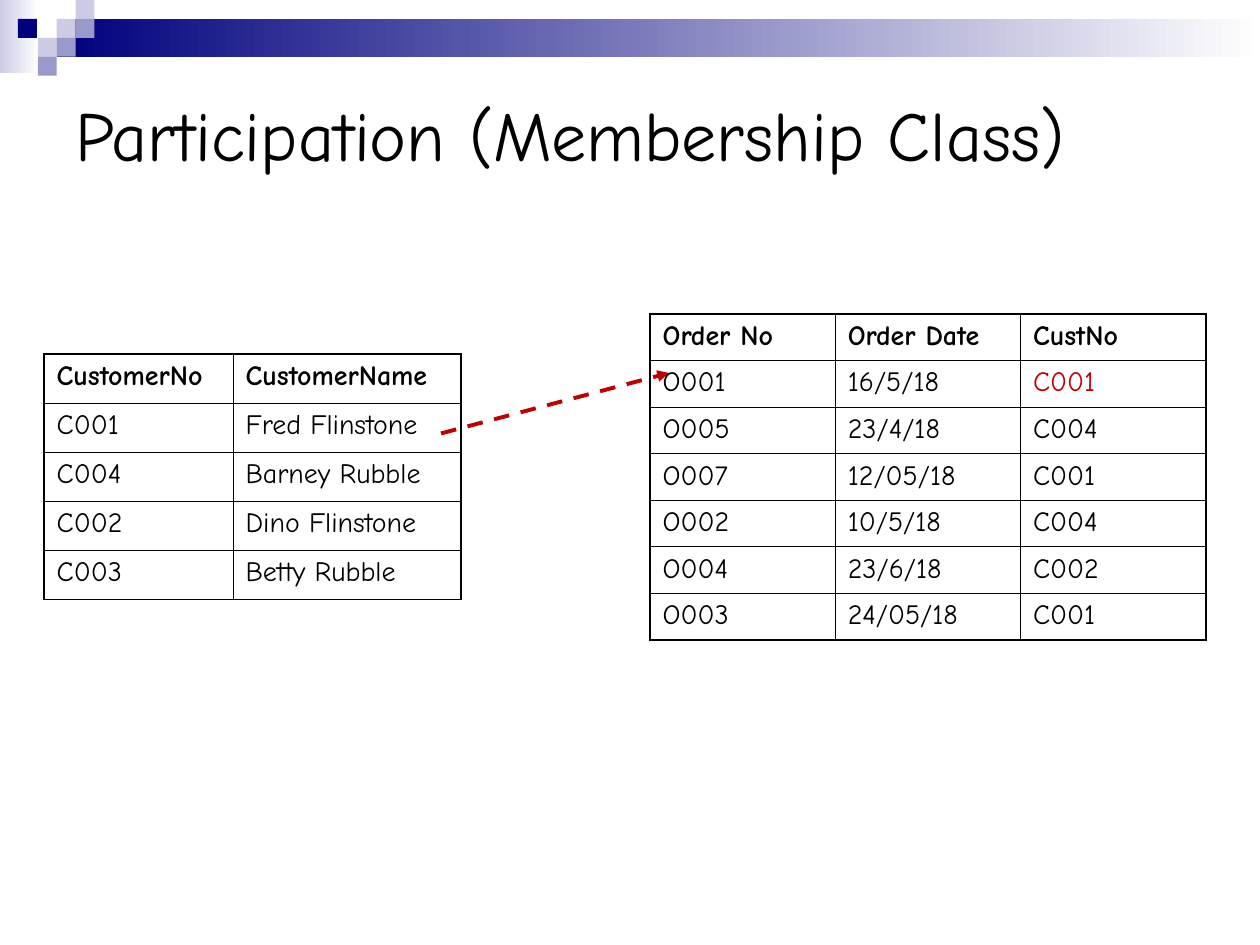
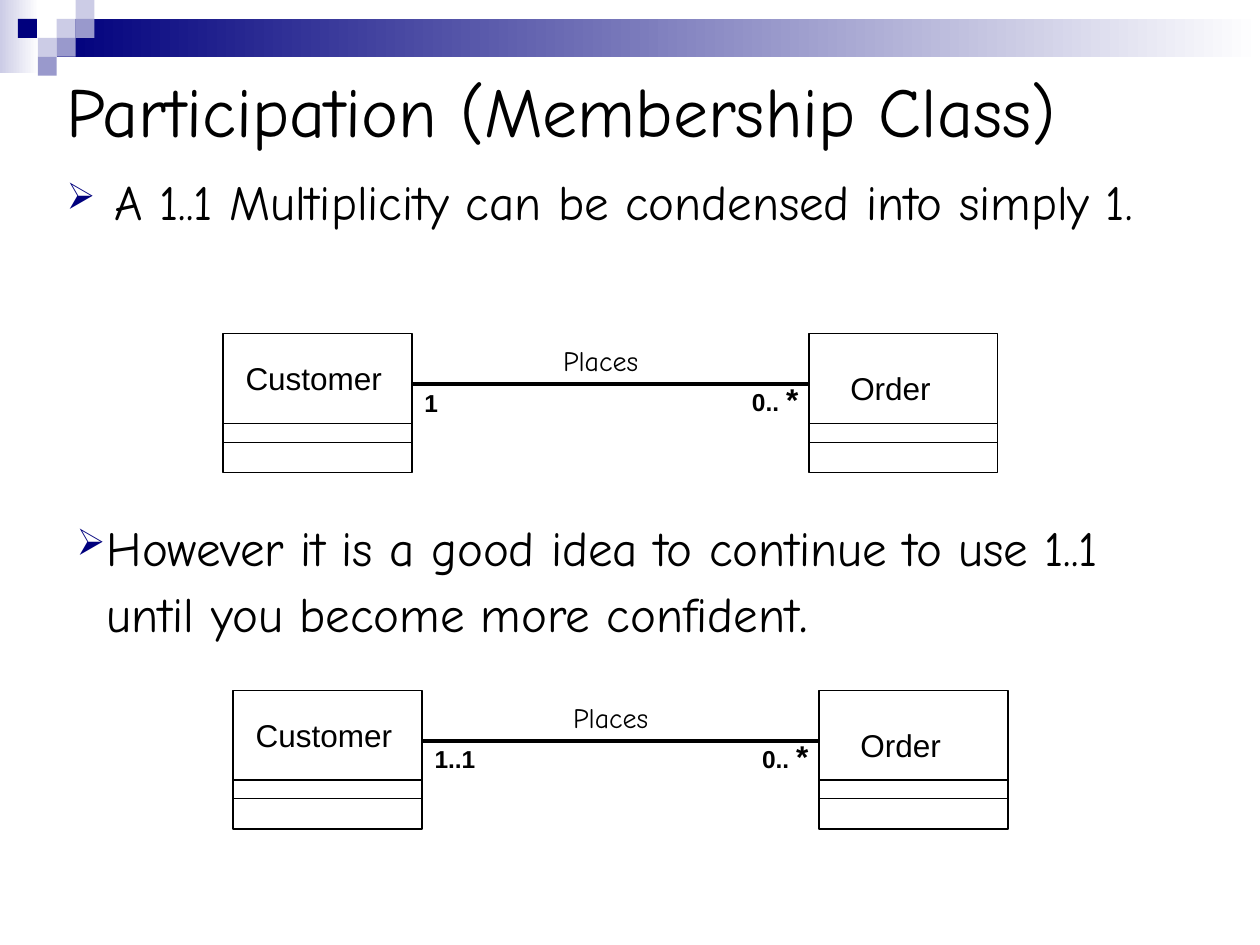
from pptx import Presentation
from pptx.dml.color import RGBColor as RGB
from pptx.enum.dml import MSO_LINE_DASH_STYLE as Dash
from pptx.enum.shapes import MSO_CONNECTOR as Link, MSO_SHAPE as Preset
from pptx.enum.text import MSO_ANCHOR as Anchor
from pptx.oxml import parse_xml
from pptx.oxml.ns import nsdecls
from pptx.util import Inches, Pt

COLORS = {
    "ink": "000000", "navy": "00007D", "lilac": "CCCCE6",
    "violet": "9999CC", "white": "FFFFFF", "red": "C00000",
}
HAND, SANS = "Comic Neue", "Arial"
FORMATS = {
    "title": {"size": Pt(40), "name": HAND},
    "point": {"size": Pt(28), "name": HAND},
    "point_end": {"size": Pt(32), "name": HAND},
    "heading": {"size": Pt(16), "name": HAND, "bold": True},
    "entry": {"size": Pt(16), "name": HAND, "bold": False},
    "class": {"size": Pt(18), "name": SANS},
    "count": {"size": Pt(14), "name": SANS, "bold": True},
    "many": {"size": Pt(18), "name": SANS, "bold": True},
}
TITLE = "Participation (Membership Class)"
CUSTOMERS = [
    ("CustomerNo", "CustomerName"),
    ("C001", "Fred Flinstone"),
    ("C004", "Barney Rubble"),
    ("C002", "Dino Flinstone"),
    ("C003", "Betty Rubble"),
]
ORDERS = [
    ("Order No", "Order Date", "CustNo"),
    ("O001", "16/5/18", "C001"),
    ("O005", "23/4/18", "C004"),
    ("O007", "12/05/18", "C001"),
    ("O002", "10/5/18", "C004"),
    ("O004", "23/6/18", "C002"),
    ("O003", "24/05/18", "C001"),
]


def rgb(color):
    return RGB.from_string(COLORS[color])


def inches(*lengths):
    return [Inches(length) for length in lengths]


def write(paragraph, text, style, color="ink"):
    run = paragraph.add_run()
    run.text = text
    for attribute, value in FORMATS[style].items():
        setattr(run.font, attribute, value)
    run.font.color.rgb = rgb(color)


def add_text(slide, box, parts, wrap=True, anchor=Anchor.TOP, indent=None):
    frame = slide.shapes.add_textbox(*inches(*box)).text_frame
    frame.word_wrap = wrap
    frame.vertical_anchor = anchor
    paragraph = frame.paragraphs[0]
    if indent:
        add_bullet(paragraph, indent)
    for text, style in parts:
        write(paragraph, text, style)


def add_bullet(paragraph, indent):
    properties = paragraph._p.get_or_add_pPr()
    properties.set("marL", str(Inches(indent)))
    properties.set("indent", str(Inches(-indent)))
    for element in (
        f'<a:buClr {nsdecls("a")}><a:srgbClr val="{COLORS["navy"]}"/></a:buClr>',
        f'<a:buSzPct {nsdecls("a")} val="75000"/>',
        f'<a:buChar {nsdecls("a")} char="➢"/>',
    ):
        properties.append(parse_xml(element))


def add_block(slide, box, *fills):
    block = slide.shapes.add_shape(Preset.RECTANGLE, *inches(*box))
    block.shadow.inherit = False
    block.line.fill.background()
    if len(fills) == 1:
        block.fill.solid()
        block.fill.fore_color.rgb = rgb(fills[0])
        return
    block.fill.gradient()
    block.fill.gradient_angle = 0
    for stop, color in zip(block.fill.gradient_stops, fills):
        stop.color.rgb = rgb(color)


def add_line(slide, start, end, width, color="ink"):
    connector = slide.shapes.add_connector(Link.STRAIGHT, *inches(*start, *end))
    connector.line.width = Pt(width)
    connector.line.color.rgb = rgb(color)
    connector._element.spPr.append(parse_xml(f'<a:effectLst {nsdecls("a")}/>'))
    return connector


def add_header(slide):
    side = 0.15
    add_block(slide, (0, 0, 0.31, 0.58), "lilac", "white")
    add_block(slide, (0.45, side, 9.55, 0.3), "navy", "white")
    for column, row, color in (
        (3, 1, "lilac"), (4, 0, "lilac"), (4, 1, "violet"), (2, 2, "lilac"),
        (0.95, 1, "navy"), (3, 2, "violet"), (2, 3, "violet"),
    ):
        add_block(slide, (column * side, row * side, side, side), color)


def start_slide(deck, title_box):
    slide = deck.slides.add_slide(deck.slide_layouts[6])
    add_header(slide)
    add_text(slide, title_box, [(TITLE, "title")], anchor=Anchor.MIDDLE)
    return slide


def add_cell_borders(cell, on_edge):
    properties = cell._tc.get_or_add_tcPr()
    for position, (side, outer) in enumerate(on_edge.items()):
        width = Pt(1.08 if outer else 0.45)
        properties.insert(position, parse_xml(
            f'<a:{side} {nsdecls("a")} w="{width}"><a:solidFill>'
            f'<a:srgbClr val="{COLORS["ink"]}"/></a:solidFill></a:{side}>'))


def add_records(slide, left, top, widths, row_height, records, marked=None):
    box = (left, top, sum(widths), row_height * len(records))
    table = slide.shapes.add_table(len(records), len(widths), *inches(*box)).table
    table.first_row = table.horz_banding = False
    for column, width in zip(table.columns, widths):
        column.width = Inches(width)
    for r, record in enumerate(records):
        table.rows[r].height = Inches(row_height)
        for c, value in enumerate(record):
            cell = table.cell(r, c)
            cell.fill.background()
            add_cell_borders(cell, {
                "lnL": c == 0, "lnR": c == len(widths) - 1,
                "lnT": r == 0, "lnB": r == len(records) - 1,
            })
            write(cell.text_frame.paragraphs[0], value,
                  "entry" if r else "heading",
                  "red" if (r, c) == marked else "ink")


def add_class(slide, left, top):
    width = 1.5
    outline = slide.shapes.add_shape(Preset.RECTANGLE, *inches(left, top, width, 1.1))
    outline.shadow.inherit = False
    outline.fill.background()
    outline.line.color.rgb = rgb("ink")
    outline.line.width = Pt(0.75)
    for divider in (0.71, 0.86):
        add_line(slide, (left, top + divider), (left + width, top + divider), 0.75)


def add_association(slide, left, top, customer_count):
    def label(x, y, width, height, *parts, wrap=True):
        add_text(slide, (left + x, top + y, width, height), parts, wrap)

    label(0.08, 0.15, 1.42, 0.4, ("Customer", "class"))
    label(4.88, 0.23, 0.84, 0.4, ("Order", "class"), wrap=False)
    for offset in (0, 4.65):
        add_class(slide, left + offset, top)
    add_line(slide, (left + 1.5, top + 0.4), (left + 4.65, top + 0.4), 2.25)
    label(2.6, 0.03, 1.02, 0.37, ("Places", "entry"))
    label(1.5, 0.38, 0.55, 0.34, (customer_count, "count"))
    label(4.1, 0.32, 0.63, 0.4, ("0.. ", "count"), ("*", "many"))


def build_tables_slide(deck):
    slide = start_slide(deck, (0.5, 0.5, 9, 1.12))
    add_records(slide, 0.35, 2.81, (1.5, 1.81), 0.39, CUSTOMERS)
    reference = add_line(slide, (3.5, 3.44), (5.31, 2.96), 2.25, "red")
    reference.line.dash_style = Dash.DASH
    reference.line._get_or_add_ln().append(
        parse_xml(f'<a:tailEnd {nsdecls("a")} type="triangle"/>'))
    add_records(slide, 5.16, 2.49, (1.47,) * 3, 0.37, ORDERS, marked=(1, 2))


def build_multiplicity_slide(deck):
    slide = start_slide(deck, (0.43, 0.36, 9.23, 1.02))
    add_text(slide, (0.43, 1.31, 9, 1.26), [
        ("A 1..1 Multiplicity can be condensed into simply 1.", "point"),
    ], indent=0.38)
    add_association(slide, 1.77, 2.65, "1")
    add_text(slide, (0.51, 4.06, 8.9, 1.1), [
        ("However it is a good idea to continue to use 1..1 "
         "until you become more confident", "point"),
        (".", "point_end"),
    ], indent=0.24)
    add_association(slide, 1.85, 5.48, "1..1")


def main():
    deck = Presentation()
    deck.slide_width, deck.slide_height = inches(10, 7.5)
    build_tables_slide(deck)
    build_multiplicity_slide(deck)
    deck.save("out.pptx")


if __name__ == "__main__":
    main()
